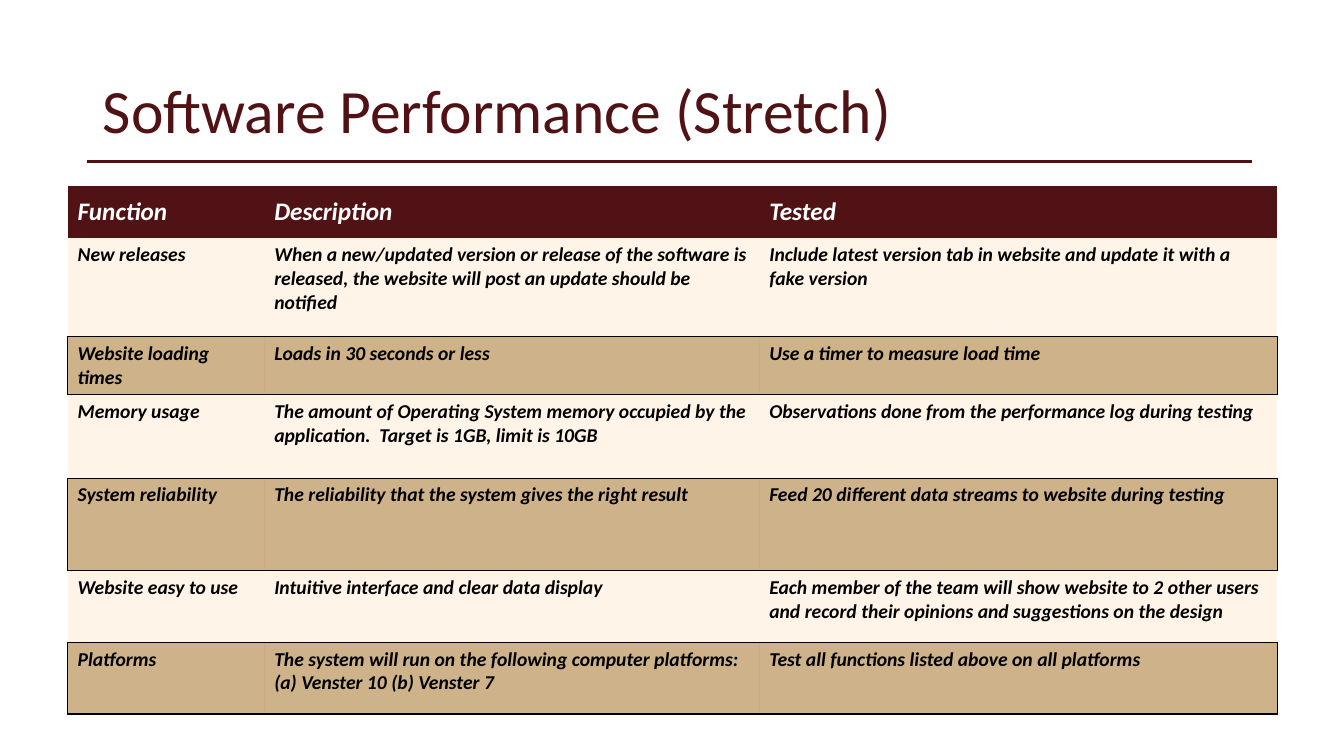
from dataclasses import dataclass

import lxml.etree
import pptx
import pptx.dml.color
import pptx.enum.shapes
import pptx.enum.text
import pptx.oxml.ns
import pptx.util

Inches = pptx.util.Inches
Pt = pptx.util.Pt
qn = pptx.oxml.ns.qn


@dataclass(frozen=True)
class Theme:
    font: str = "Calibri"
    maroon: str = "501214"
    cream: str = "FFF4E7"
    gold: str = "9E6614"
    gold_opacity: int = 50
    white: str = "FFFFFF"
    black: str = "000000"
    title_size: int = 44
    header_size: int = 18
    body_size: int = 14
    rule_width: float = 2.25
    border_width: float = 1


HEADER = ("Function", "Description", "Tested")
REQUIREMENTS = [
    ("New releases",
     "When a new/updated version or release of the software is released, "
     "the website will post an update should be notified",
     "Include latest version tab in website and update it with a fake version"),
    ("Website loading times",
     "Loads in 30 seconds or less",
     "Use a timer to measure load time"),
    ("Memory usage",
     "The amount of Operating System memory occupied by the application.  "
     "Target is 1GB, limit is 10GB",
     "Observations done from the performance log during testing"),
    ("System reliability",
     "The reliability that the system gives the right result",
     "Feed 20 different data streams to website during testing"),
    ("Website easy to use",
     "Intuitive interface and clear data display",
     "Each member of the team will show website to 2 other users and record "
     "their opinions and suggestions on the design"),
    ("Platforms",
     "The system will run on the following computer platforms: "
     "(a) Venster 10 (b) Venster 7",
     "Test all functions listed above on all platforms"),
]
COLUMN_WIDTHS = (1.95, 4.91, 5.14)
ROW_HEIGHTS = (0.51, 0.98, 0.51, 0.83, 0.92, 0.71, 0.71)


def rgb(color):
    return pptx.dml.color.RGBColor.from_string(color)


class PageBuilder:
    def __init__(self, deck, theme):
        self.theme = theme
        self.page = deck.slides.add_slide(deck.slide_layouts[5])

    def style_text(self, frame, size, color, emphasis=False):
        for para in frame.paragraphs:
            for span in para.runs:
                span.font.name = self.theme.font
                span.font.size = Pt(size)
                span.font.color.rgb = rgb(color)
                span.font.bold = span.font.italic = emphasis

    def title(self, text, left, top, width, height):
        box = self.page.shapes.title
        box.left, box.top = Inches(left), Inches(top)
        box.width, box.height = Inches(width), Inches(height)
        frame = box.text_frame
        frame.text = text
        frame.word_wrap = True
        frame.auto_size = pptx.enum.text.MSO_AUTO_SIZE.NONE
        frame.vertical_anchor = pptx.enum.text.MSO_ANCHOR.MIDDLE
        frame.paragraphs[0].alignment = pptx.enum.text.PP_ALIGN.LEFT
        frame.paragraphs[0].line_spacing = 0.9
        self.style_text(frame, self.theme.title_size, self.theme.maroon)

    def rule(self, left, right, top):
        """Draw the horizontal line under the title."""
        line = self.page.shapes.add_connector(
            pptx.enum.shapes.MSO_CONNECTOR.STRAIGHT,
            Inches(left), Inches(top), Inches(right), Inches(top))
        line.line.color.rgb = rgb(self.theme.maroon)
        line.line.width = Pt(self.theme.rule_width)
        lxml.etree.SubElement(line._element.spPr, qn("a:effectLst"))

    def borders(self, cell, visible):
        """Draw the sides named in visible (letters of LRTB), clear the rest."""
        properties = cell._tc.get_or_add_tcPr()
        for side in "LRTB":
            edge = lxml.etree.SubElement(properties, qn(f"a:ln{side}"))
            if side in visible:
                edge.set("w", str(Pt(self.theme.border_width)))
                fill = lxml.etree.SubElement(edge, qn("a:solidFill"))
                lxml.etree.SubElement(fill, qn("a:srgbClr"), val=self.theme.black)
            else:
                edge.set("w", "0")
                lxml.etree.SubElement(edge, qn("a:noFill"))

    def fill_cell(self, cell, color, opacity=100):
        cell.fill.solid()
        cell.fill.fore_color.rgb = rgb(color)
        if opacity < 100:
            swatch = cell._tc.tcPr.find(f"{qn('a:solidFill')}/{qn('a:srgbClr')}")
            lxml.etree.SubElement(swatch, qn("a:alpha"), val=str(opacity * 1000))

    def table(self, rows, left, top, widths, heights):
        """Add a table whose every second body row is a framed gold band."""
        theme = self.theme
        table = self.page.shapes.add_table(
            len(rows), len(widths), Inches(left), Inches(top),
            Inches(sum(widths)), Inches(sum(heights))).table
        table.horz_banding = False
        for column, width in zip(table.columns, widths):
            column.width = Inches(width)
        for row, height in zip(table.rows, heights):
            row.height = Inches(height)

        for i, texts in enumerate(rows):
            is_header = i == 0
            is_band = i > 0 and i % 2 == 0
            for j, text in enumerate(texts):
                cell = table.cell(i, j)
                sides = ("T" if i > 1 else "") + ("" if is_header else "B")
                if is_band:
                    sides += {0: "L", len(widths) - 1: "R"}.get(j, "")
                elif i == len(rows) - 1:
                    sides = sides.replace("B", "")
                elif i and i + 1 == len(rows):
                    sides = "T"
                self.borders(cell, sides)
                if is_header:
                    self.fill_cell(cell, theme.maroon)
                    cell.vertical_anchor = pptx.enum.text.MSO_ANCHOR.MIDDLE
                elif is_band:
                    self.fill_cell(cell, theme.gold, theme.gold_opacity)
                else:
                    self.fill_cell(cell, theme.cream)
                cell.text_frame.text = text
                self.style_text(
                    cell.text_frame,
                    theme.header_size if is_header else theme.body_size,
                    theme.white if is_header else theme.black,
                    emphasis=True)


def main():
    deck = pptx.Presentation()
    deck.slide_width, deck.slide_height = Inches(13.33), Inches(7.5)
    builder = PageBuilder(deck, Theme())
    builder.title("Software Performance (Stretch)", 0.92, 0.4, 11.5, 1.45)
    builder.rule(0.86, 12.42, 1.6)
    builder.table([HEADER, *REQUIREMENTS], 0.67, 1.85, COLUMN_WIDTHS, ROW_HEIGHTS)
    deck.save("out.pptx")


if __name__ == "__main__":
    main()
